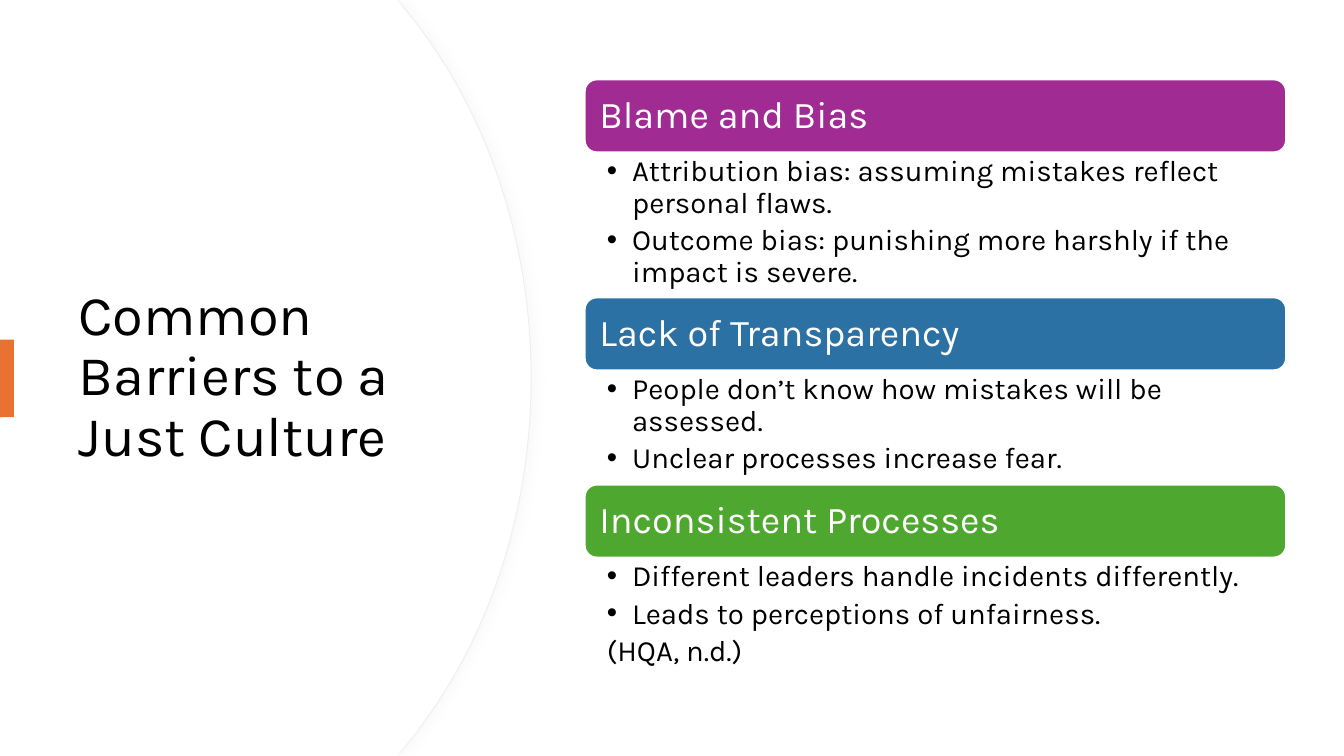
"""Build the slide on common barriers to a just culture."""
from dataclasses import dataclass

from lxml.etree import SubElement
from pptx import Presentation
from pptx.dml.color import RGBColor
from pptx.enum.shapes import MSO_SHAPE
from pptx.enum.text import MSO_ANCHOR, MSO_AUTO_SIZE, PP_ALIGN
from pptx.oxml.ns import qn
from pptx.shapes.autoshape import Shape
from pptx.slide import Slide
from pptx.text.text import TextFrame, _Paragraph
from pptx.util import Pt


@dataclass(frozen=True)
class Theme:
    font: str = "Karla"
    title_size: float = 40
    heading_size: float = 27
    point_size: float = 21
    ink: str = "000000"
    paper: str = "FFFFFF"
    accent: str = "E97132"
    panel_edge: str = "EFEFEF"
    panel_shadow: str = "D9D9D9"


@dataclass(frozen=True)
class Barrier:
    heading: str
    color: str
    list_height: float
    points: tuple[str, ...]
    citation: str = ""


THEME = Theme()
SLIDE_WIDTH, SLIDE_HEIGHT = 960, 540
BARRIER_LEFT, BARRIER_TOP, BARRIER_WIDTH = 417.6, 56.7, 501.1
HEADING_HEIGHT, HEADING_INSET = 52.2, 2.55
HANGING = 18

BARRIERS = (
    Barrier("Blame and Bias", "A02B93", 103.5, (
        "Attribution bias: assuming mistakes reflect personal flaws.",
        "Outcome bias: punishing more harshly if the impact is severe.",
    )),
    Barrier("Lack of Transparency", "2C71A4", 81.5, (
        "People don’t know how mistakes will be assessed.",
        "Unclear processes increase fear.",
    )),
    Barrier("Inconsistent Processes", "4EA72E", 85.7, (
        "Different leaders handle incidents differently.",
        "Leads to perceptions of unfairness.",
    ), "(HQA, n.d.)"),
)


def rgb(color: str) -> RGBColor:
    return RGBColor.from_string(color)


def place(shape: Shape, left: float, top: float, width: float, height: float) -> None:
    shape.left, shape.top = Pt(left), Pt(top)
    shape.width, shape.height = Pt(width), Pt(height)


def paint(shape: Shape, fill: str, line: str = "", line_width: float = 0) -> None:
    shape.shadow.inherit = False
    shape.fill.solid()
    shape.fill.fore_color.rgb = rgb(fill)
    if line:
        shape.line.color.rgb = rgb(line)
        shape.line.width = Pt(line_width)
    else:
        shape.line.fill.background()


def set_frame(frame: TextFrame, anchor: MSO_ANCHOR, left: float, top: float,
              right: float, bottom: float) -> None:
    frame.word_wrap = True
    frame.auto_size = MSO_AUTO_SIZE.NONE
    frame.vertical_anchor = anchor
    frame.margin_left, frame.margin_top = Pt(left), Pt(top)
    frame.margin_right, frame.margin_bottom = Pt(right), Pt(bottom)


def style(paragraph: _Paragraph, size: float, color: str, after: float = 0) -> None:
    paragraph.alignment = PP_ALIGN.LEFT
    paragraph.line_spacing = 0.9
    paragraph.space_before = Pt(0)
    paragraph.space_after = Pt(after)
    paragraph.font.name = THEME.font
    paragraph.font.size = Pt(size)
    paragraph.font.bold = False
    paragraph.font.color.rgb = rgb(color)


def add_panel(slide: Slide, edge: float, knee: float) -> Shape:
    outline = ((283.7, 0), (knee, 5.8), (edge, 270), (knee, 534.2), (283.7, 540), (0, 540))
    builder = slide.shapes.build_freeform(0, 0, 1.0)
    builder.add_line_segments([(Pt(x), Pt(y)) for x, y in outline], close=True)
    panel = builder.convert_to_shape()
    shoulder = knee + 56.2
    bends = {2: ((shoulder, 73.4), (edge, 167)), 3: ((edge, 373), (shoulder, 466.6))}
    segments = list(panel._element.iter(qn("a:lnTo")))
    for index, controls in bends.items():
        segment = segments[index]
        curve = SubElement(segment.getparent(), qn("a:cubicBezTo"))
        for x, y in controls:
            SubElement(curve, qn("a:pt"), x=str(Pt(x)), y=str(Pt(y)))
        curve.append(segment[0])
        segment.getparent().replace(segment, curve)
    return panel


def add_soft_shadow(shape: Shape) -> None:
    effects = shape._element.spPr.find(qn("a:effectLst"))
    shadow = SubElement(effects, qn("a:outerShdw"), blurRad=str(Pt(7)),
                        dist=str(Pt(3)), dir="0", algn="l", rotWithShape="0")
    color = SubElement(shadow, qn("a:srgbClr"), val=THEME.panel_shadow)
    SubElement(color, qn("a:alpha"), val="15000")


def add_title(slide: Slide, text: str) -> None:
    title = slide.shapes.title
    slide.shapes._spTree.append(title._element)
    place(title, 49, 91.4, 283.7, 356.4)
    set_frame(title.text_frame, MSO_ANCHOR.MIDDLE, 7.2, 3.6, 7.2, 3.6)
    title.text_frame.text = text
    style(title.text_frame.paragraphs[0], THEME.title_size, THEME.ink)


def add_heading(slide: Slide, barrier: Barrier, top: float) -> None:
    bar = slide.shapes.add_shape(MSO_SHAPE.ROUNDED_RECTANGLE, Pt(BARRIER_LEFT), Pt(top),
                                 Pt(BARRIER_WIDTH), Pt(HEADING_HEIGHT))
    paint(bar, barrier.color, THEME.paper, 1.5)
    heading = slide.shapes.add_textbox(
        Pt(BARRIER_LEFT + HEADING_INSET), Pt(top + HEADING_INSET),
        Pt(BARRIER_WIDTH - 2 * HEADING_INSET), Pt(HEADING_HEIGHT - 2 * HEADING_INSET))
    set_frame(heading.text_frame, MSO_ANCHOR.MIDDLE, 8, 8, 8, 8)
    heading.text_frame.text = barrier.heading
    style(heading.text_frame.paragraphs[0], THEME.heading_size, THEME.paper)


def fill_list(body: Shape, barrier: Barrier, top: float) -> None:
    place(body, BARRIER_LEFT, top, BARRIER_WIDTH, barrier.list_height)
    frame = body.text_frame
    set_frame(frame, MSO_ANCHOR.TOP, 15.9, 2.7, 14.9, 2.7)
    lines = [(point, True) for point in barrier.points]
    if barrier.citation:
        lines.append((barrier.citation, False))
    for index, (text, bulleted) in enumerate(lines):
        paragraph = frame.add_paragraph() if index else frame.paragraphs[0]
        paragraph.text = text
        paragraph.level = 1
        properties = paragraph._p.get_or_add_pPr()
        properties.set("marL", str(Pt(HANGING)))
        properties.set("indent", str(Pt(-HANGING)))
        if bulleted:
            SubElement(properties, qn("a:buFont"), typeface="Arial")
            SubElement(properties, qn("a:buChar"), char="•")
        else:
            SubElement(properties, qn("a:buNone"))
        style(paragraph, THEME.point_size, THEME.ink, after=4)


def main() -> None:
    deck = Presentation()
    deck.slide_width, deck.slide_height = Pt(SLIDE_WIDTH), Pt(SLIDE_HEIGHT)
    slide = deck.slides.add_slide(deck.slide_layouts.get_by_name("Comparison"))
    title, *bodies = slide.placeholders

    shaded_panel = add_panel(slide, 379.4, 288.7)
    paint(shaded_panel, THEME.paper, THEME.panel_edge, 0.75)
    add_soft_shadow(shaded_panel)
    paint(add_panel(slide, 378.7, 288), THEME.paper)

    add_title(slide, "Common Barriers to a Just Culture")
    marker = slide.shapes.add_shape(MSO_SHAPE.RECTANGLE, 0, Pt(242.6), Pt(10), Pt(55.4))
    paint(marker, THEME.accent)

    top = BARRIER_TOP
    for barrier, body in zip(BARRIERS, bodies):
        add_heading(slide, barrier, top)
        fill_list(body, barrier, top + HEADING_HEIGHT)
        top += HEADING_HEIGHT + barrier.list_height
    for unused in bodies[len(BARRIERS):]:
        unused._element.getparent().remove(unused._element)

    deck.save("out.pptx")


if __name__ == "__main__":
    main()
